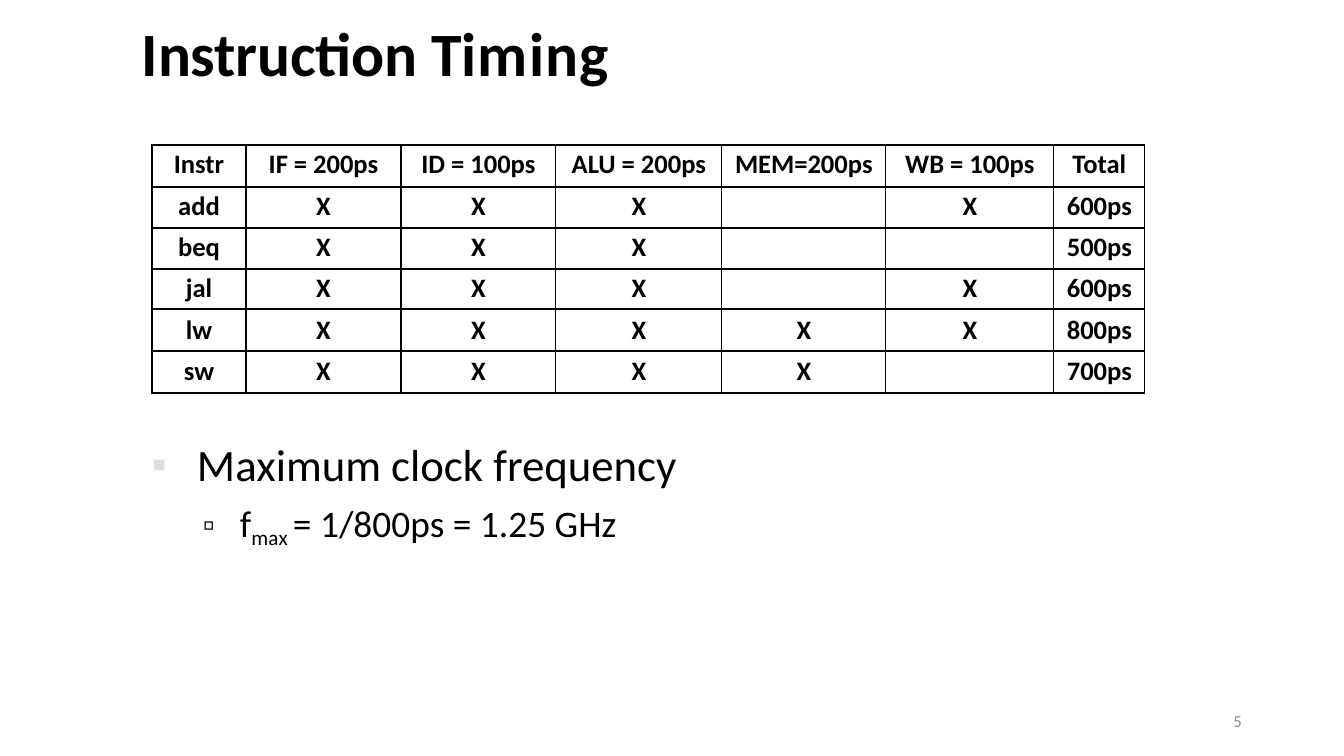
from lxml import etree
from pptx import Presentation
from pptx.dml.color import RGBColor
from pptx.enum.text import MSO_ANCHOR, MSO_AUTO_SIZE, PP_ALIGN
from pptx.oxml.ns import qn
from pptx.util import Emu, Pt

LEFT, CENTER, RIGHT = PP_ALIGN.LEFT, PP_ALIGN.CENTER, PP_ALIGN.RIGHT
TOP, MIDDLE = MSO_ANCHOR.TOP, MSO_ANCHOR.MIDDLE
NO_AUTOFIT = MSO_AUTO_SIZE.NONE
TITLE_AND_CONTENT = 1
FONT = "Calibri"
COLORS = {"ink": "000000", "paper": "FFFFFF", "bullet": "E3DDD2", "number": "8C8C8C"}

COLUMN_WIDTHS = [94, 155, 155, 166, 164, 168, 91]
ROW_HEIGHTS = [42, 41, 41, 40, 42, 42]
ROW_INSETS = [3, 3, 3, 3, 5, 4]
TIMINGS = [
    ["Instr", "IF = 200ps", "ID = 100ps", "ALU = 200ps", "MEM=200ps", "WB = 100ps", "Total"],
    ["add", "X", "X", "X", "", "X", "600ps"],
    ["beq", "X", "X", "X", "", "", "500ps"],
    ["jal", "X", "X", "X", "", "X", "600ps"],
    ["lw", "X", "X", "X", "X", "X", "800ps"],
    ["sw", "X", "X", "X", "X", "", "700ps"],
]


def px(length):
    """Turn slide pixels into EMU."""
    return Emu(round(length * 914400 / 100.8))


def add_span(para, text, size, color="ink", bold=False, spacing=0, baseline=0):
    """Add one formatted run to a paragraph."""
    span = para.add_run()
    span.text = text
    span.font.name = FONT
    span.font.size = Pt(size)
    span.font.bold = bold
    span.font.color.rgb = RGBColor.from_string(COLORS[color])
    properties = span.font._element
    if spacing:
        properties.set("spc", str(round(spacing * 100)))
    if baseline:
        properties.set("baseline", str(baseline * 1000))


def prepare_frame(shape, box, anchor, top_inset=0):
    """Place a text shape and return its frame with tight margins."""
    shape.left, shape.top, shape.width, shape.height = map(px, box)
    frame = shape.text_frame
    frame.word_wrap = True
    frame.auto_size = NO_AUTOFIT
    frame.vertical_anchor = anchor
    frame.margin_left = frame.margin_right = frame.margin_bottom = 0
    frame.margin_top = px(top_inset)
    return frame


def set_bullet(para, symbol, percent, margin, hanging, color):
    """Give a paragraph a bullet and a hanging indent."""
    properties = para._p.get_or_add_pPr()
    properties.set("marL", str(px(margin)))
    properties.set("indent", str(-px(hanging)))
    fill = etree.SubElement(properties, qn("a:buClr"))
    etree.SubElement(fill, qn("a:srgbClr"), val=COLORS[color])
    etree.SubElement(properties, qn("a:buSzPct"), val=str(percent * 1000))
    etree.SubElement(properties, qn("a:buChar"), char=symbol)


def fill_title(page, box):
    """Write the heading in the title placeholder."""
    frame = prepare_frame(page.shapes.title, box, MIDDLE, 2)
    para = frame.paragraphs[0]
    para.alignment = LEFT
    for text, spacing in [("Instruction ", -0.2), ("T", -6.6), ("imin", 0.8), ("g", 0)]:
        add_span(para, text, 44, bold=True, spacing=spacing)


def format_cell(cell, text, inset):
    """Outline a table cell and write its centred text."""
    properties = cell._tc.get_or_add_tcPr()
    for side in ("lnL", "lnR", "lnT", "lnB"):
        line = etree.SubElement(properties, qn(f"a:{side}"), w=str(Pt(1)))
        fill = etree.SubElement(line, qn("a:solidFill"))
        etree.SubElement(fill, qn("a:srgbClr"), val=COLORS["ink"])
    cell.fill.solid()
    cell.fill.fore_color.rgb = RGBColor.from_string(COLORS["paper"])
    cell.margin_left = cell.margin_right = cell.margin_bottom = 0
    cell.margin_top = px(inset)
    para = cell.text_frame.paragraphs[0]
    para.alignment = CENTER
    if text:
        add_span(para, text, 19, bold=True)


def add_timing_table(page, left, top):
    """Add the table of stage times per instruction."""
    box = (left, top, sum(COLUMN_WIDTHS), sum(ROW_HEIGHTS))
    table = page.shapes.add_table(len(TIMINGS), len(COLUMN_WIDTHS), *map(px, box)).table
    table.first_row = table.horz_banding = False
    for column, width in zip(table.columns, COLUMN_WIDTHS):
        column.width = px(width)
    for row, height, inset, texts in zip(table.rows, ROW_HEIGHTS, ROW_INSETS, TIMINGS):
        row.height = px(height)
        for cell, text in zip(row.cells, texts):
            format_cell(cell, text, inset)


def fill_frequency_list(page, box):
    """Write the clock frequency bullets in the body placeholder."""
    frame = prepare_frame(page.placeholders[1], box, TOP, 14)
    para = frame.paragraphs[0]
    set_bullet(para, "▪", 94, 50, 45, "bullet")
    para.space_before = Pt(0)
    add_span(para, "Maximum clock frequency", 32)
    para = frame.add_paragraph()
    para.level = 1
    set_bullet(para, "▫", 90, 93, 37, "ink")
    para.space_before = Pt(6.8)
    add_span(para, "f", 26.7)
    add_span(para, "max ", 26, spacing=0.2, baseline=-21)
    add_span(para, "= 1/800ps = 1.25 GHz", 26.7)


def add_page_number(page, box):
    """Add the page number at the lower right."""
    frame = prepare_frame(page.shapes.add_textbox(*map(px, box)), box, MIDDLE)
    frame.margin_right = px(10)
    para = frame.paragraphs[0]
    para.alignment = RIGHT
    add_span(para, "5", 12, "number")


def main():
    """Build and save the deck."""
    deck = Presentation()
    deck.slide_width, deck.slide_height = px(1344), px(756)
    page = deck.slides.add_slide(deck.slide_layouts[TITLE_AND_CONTENT])
    fill_frequency_list(page, (147, 423, 535, 143))
    fill_title(page, (142, 12, 922, 77))
    add_timing_table(page, 152, 145)
    add_page_number(page, (950, 701, 302, 40))
    deck.save("out.pptx")


if __name__ == "__main__":
    main()
